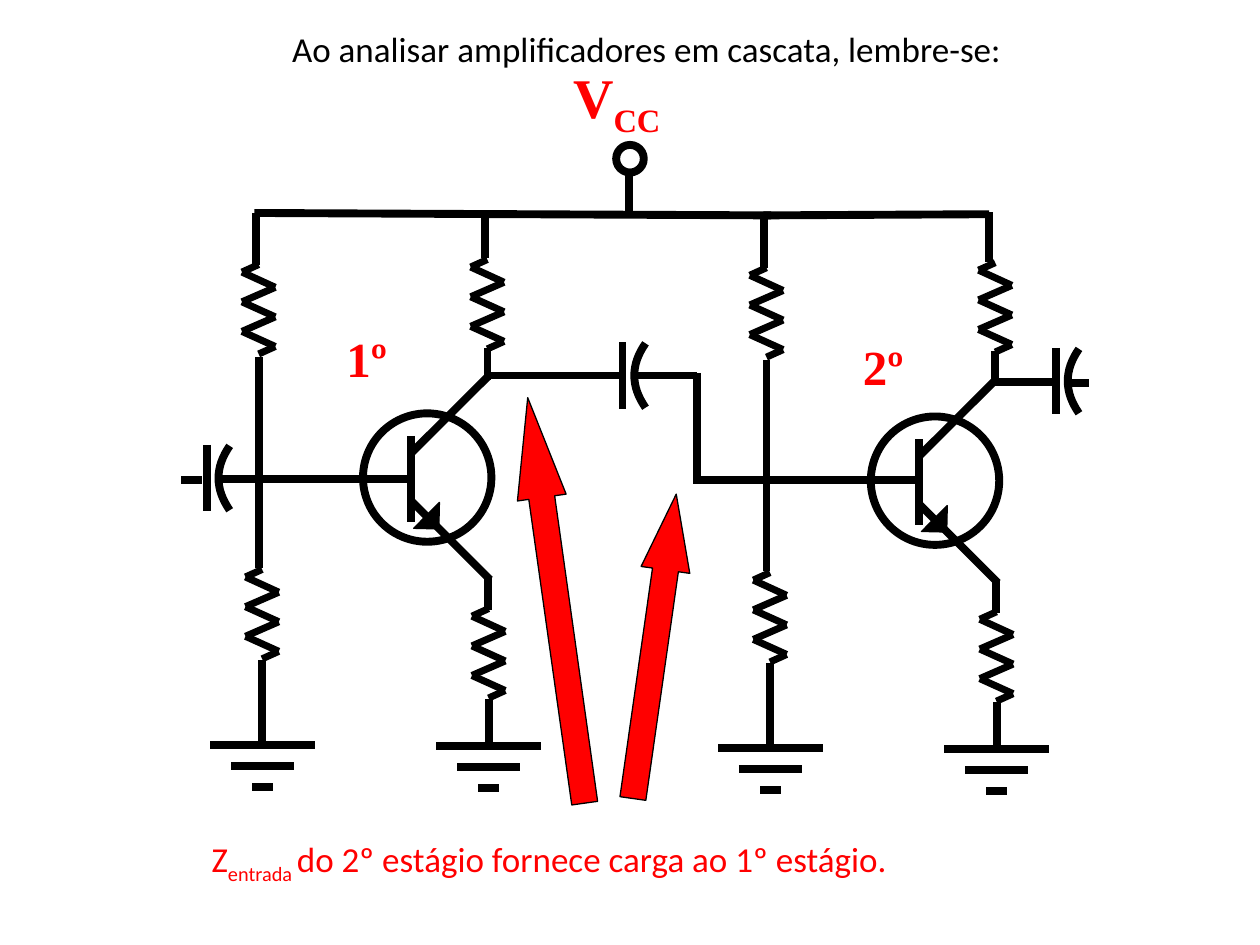
from typing import NamedTuple

from lxml import etree
from pptx import Presentation
from pptx.dml.color import RGBColor
from pptx.enum.shapes import MSO_CONNECTOR, MSO_SHAPE
from pptx.oxml.ns import qn
from pptx.util import Pt

STRAIGHT = MSO_CONNECTOR.STRAIGHT
OVAL = MSO_SHAPE.OVAL
RIGHT_TRIANGLE = MSO_SHAPE.RIGHT_TRIANGLE
UP_ARROW = MSO_SHAPE.UP_ARROW

COLORS = {"wire": "000000", "accent": "FF0000"}
WIRE_WIDTH = 4.5
ZIGZAG_WIDTH = 4
THIN_WIDTH = 0.75


class Point(NamedTuple):
    x: float
    y: float


class Wire(NamedTuple):
    x1: float
    y1: float
    x2: float
    y2: float


class Label(NamedTuple):
    left: float
    top: float
    width: float
    height: float
    font: str
    size: float
    color: str
    bold: bool
    pieces: tuple  # (text, is_subscript) pairs


class Arrow(NamedTuple):
    left: float
    top: float
    width: float
    height: float
    rotation: float
    head_ratio: float


# Both stages share this geometry; the second is shifted by its origin.
STAGE_ORIGINS = (Point(0, 0), Point(290.2, 1.8))
STAGE_WIRES = (
    Wire(234.7, 259.2, 279.4, 214.6),  # collector lead
    Wire(234.7, 249.1, 234.7, 298.1),  # base bar
    Wire(146.2, 121.7, 146.2, 151.2),  # supply to divider
    Wire(147.8, 203.8, 147.8, 324.7),  # divider middle
    Wire(149.8, 377.3, 149.8, 424.8),  # divider to ground
    Wire(278.6, 198.7, 278.6, 217.4),  # collector resistor to collector
    Wire(279, 330.5, 279, 348.5),      # emitter to its resistor
    Wire(279.4, 399.6, 279.4, 426.2),  # emitter resistor to ground
)
EMITTER_LEAD = Wire(235.4, 286.6, 280, 331.2)
STAGE_RESISTORS = (Point(278.5, 148.3), Point(147.8, 151.2),
                   Point(279.2, 347.8), Point(149.8, 325.4))
STAGE_GROUNDS = (Point(279.4, 426.2), Point(150.1, 425.5))
SHARED_WIRES = (
    Wire(145.4, 121.7, 440.6, 123.1),  # supply rail
    Wire(436.3, 123.1, 565.2, 122.4),
    Wire(359.5, 100.1, 359.5, 121),    # supply terminal
    Wire(277.2, 147.6, 277.2, 124.6),  # rail to collector resistors
    Wire(565.2, 149.8, 565.2, 121),
    Wire(103.7, 274.3, 115.2, 274.3),  # input
    Wire(233.3, 273.6, 124.6, 273.6),
    Wire(354.2, 214.6, 277.9, 214.6),  # coupling between stages
    Wire(398.2, 214.6, 364.3, 214.6),
    Wire(398.2, 213.1, 398.2, 276.5),
    Wire(524.9, 274.3, 396.7, 274.3),
    Wire(568.8, 218.2, 601.9, 218.2),  # output
    Wire(610.6, 218.9, 622.1, 218.9),
)
CAPACITORS = (Point(118.1, 273.2), Point(355.7, 214.6), Point(603.4, 217.8))
ARROWS = (Arrow(303.8, 226.1, 28.1, 234, 352, 2.053),
          Arrow(360, 281.5, 28.1, 175.7, 8.1, 1.558))
LABELS = (
    Label(320.4, 32.4, 68.4, 41.8, "Times New Roman", 32, "accent", True,
          (("V", False), ("CC", True))),
    Label(113.8, 475.2, 409.7, 31.7, "Calibri", 20, "accent", False,
          (("Z", False), ("entrada ", True),
           ("do 2º estágio fornece carga ao 1º estágio.", False))),
    Label(159.8, 12.2, 424.1, 31.7, "Calibri", 20, "wire", False,
          (("Ao analisar amplificadores em cascata, lembre-se:", False),)),
    Label(486, 188.6, 37.4, 37.4, "Times New Roman", 28, "accent", True,
          (("2º", False),)),
    Label(190.8, 184.3, 37.4, 37.4, "Times New Roman", 28, "accent", True,
          (("1º", False),)),
)


def rgb(name: str) -> RGBColor:
    return RGBColor.from_string(COLORS[name])


def style_line(line, width: float) -> None:
    line.color.rgb = rgb("wire")
    line.width = Pt(width)


def style_outline(shape) -> None:
    shape.shadow.inherit = False
    shape.fill.background()
    style_line(shape.line, WIRE_WIDTH)


def style_filled(shape, color: str) -> None:
    shape.shadow.inherit = False
    shape.fill.solid()
    shape.fill.fore_color.rgb = rgb(color)
    style_line(shape.line, THIN_WIDTH)


def shifted(wire: Wire, origin: Point) -> Wire:
    return Wire(wire.x1 + origin.x, wire.y1 + origin.y,
                wire.x2 + origin.x, wire.y2 + origin.y)


def draw_wire(shapes, wire: Wire, width: float = WIRE_WIDTH) -> None:
    connector = shapes.add_connector(STRAIGHT, *(Pt(value) for value in wire))
    style_line(connector.line, width)
    etree.SubElement(connector._element.spPr, qn("a:effectLst"))


def draw_circle(shapes, left: float, top: float, size: float) -> None:
    style_outline(shapes.add_shape(OVAL, Pt(left), Pt(top), Pt(size), Pt(size)))


def draw_resistor(shapes, top: Point) -> None:
    """Draw a vertical zigzag that starts at the given top point."""
    group = shapes.add_group_shape().shapes
    offsets = ((0, 0), (-9.5, 4.3), (9.5, 13), (-9.5, 21.3), (9.5, 29.9),
               (-9.5, 38.2), (9.5, 46.8), (0, 51.1))
    corners = [Point(top.x + dx, top.y + dy) for dx, dy in offsets]
    for start, end in zip(corners, corners[1:]):
        draw_wire(group, Wire(*start, *end), ZIGZAG_WIDTH)


def draw_ground(shapes, top: Point) -> None:
    group = shapes.add_group_shape().shapes
    for row, half_width in enumerate((30, 18, 6)):
        y = top.y + 12 * row
        draw_wire(group, Wire(top.x - half_width, y, top.x + half_width, y))


def draw_capacitor(shapes, plate: Point) -> None:
    """Draw a straight plate centred on the point and a curved one to its right."""
    group = shapes.add_group_shape().shapes
    draw_wire(group, Wire(plate.x, plate.y - 19, plate.x, plate.y + 19))
    steps = 8
    curve = [(Pt(plate.x + 6.8 + 6.4 * (step / steps) ** 2),
              Pt(plate.y + 18.4 * step / steps))
             for step in range(-steps, steps + 1)]
    builder = group.build_freeform(*curve[0], scale=1.0)
    builder.add_line_segments(curve[1:], close=False)
    style_outline(builder.convert_to_shape())


def draw_emitter(shapes, origin: Point) -> None:
    group = shapes.add_group_shape().shapes
    draw_wire(group, shifted(EMITTER_LEAD, origin))
    tip = group.add_shape(RIGHT_TRIANGLE, Pt(origin.x + 236.2),
                          Pt(origin.y + 287.3), Pt(15.1), Pt(14.4))
    tip.rotation = 271.3
    style_filled(tip, "wire")


def draw_stage(shapes, origin: Point) -> None:
    draw_circle(shapes, origin.x + 207.4, origin.y + 236.2, 73.4)
    draw_emitter(shapes, origin)
    for wire in STAGE_WIRES:
        draw_wire(shapes, shifted(wire, origin))
    for points, draw in ((STAGE_RESISTORS, draw_resistor), (STAGE_GROUNDS, draw_ground)):
        for point in points:
            draw(shapes, Point(point.x + origin.x, point.y + origin.y))


def draw_arrow(shapes, arrow: Arrow) -> None:
    pointer = shapes.add_shape(UP_ARROW, *(Pt(value) for value in arrow[:4]))
    pointer.rotation = arrow.rotation
    pointer.adjustments[0] = 0.531
    pointer.adjustments[1] = arrow.head_ratio
    style_filled(pointer, "accent")


def draw_label(shapes, label: Label) -> None:
    frame = shapes.add_textbox(*(Pt(value) for value in label[:4])).text_frame
    frame.word_wrap = False
    for text, is_subscript in label.pieces:
        run = frame.paragraphs[0].add_run()
        run.text = text
        run.font.name = label.font
        run.font.size = Pt(label.size)
        run.font.bold = label.bold
        run.font.color.rgb = rgb(label.color)
        if is_subscript:
            run._r.get_or_add_rPr().set("baseline", "-25000")


deck = Presentation()
deck.slide_width, deck.slide_height = Pt(720), Pt(540)
canvas = deck.slides.add_slide(deck.slide_layouts[6]).shapes
for stage_origin in STAGE_ORIGINS:
    draw_stage(canvas, stage_origin)
draw_circle(canvas, 352.1, 82.8, 15.8)
for items, draw_item in ((SHARED_WIRES, draw_wire), (CAPACITORS, draw_capacitor),
                         (ARROWS, draw_arrow), (LABELS, draw_label)):
    for item in items:
        draw_item(canvas, item)
deck.save("out.pptx")
